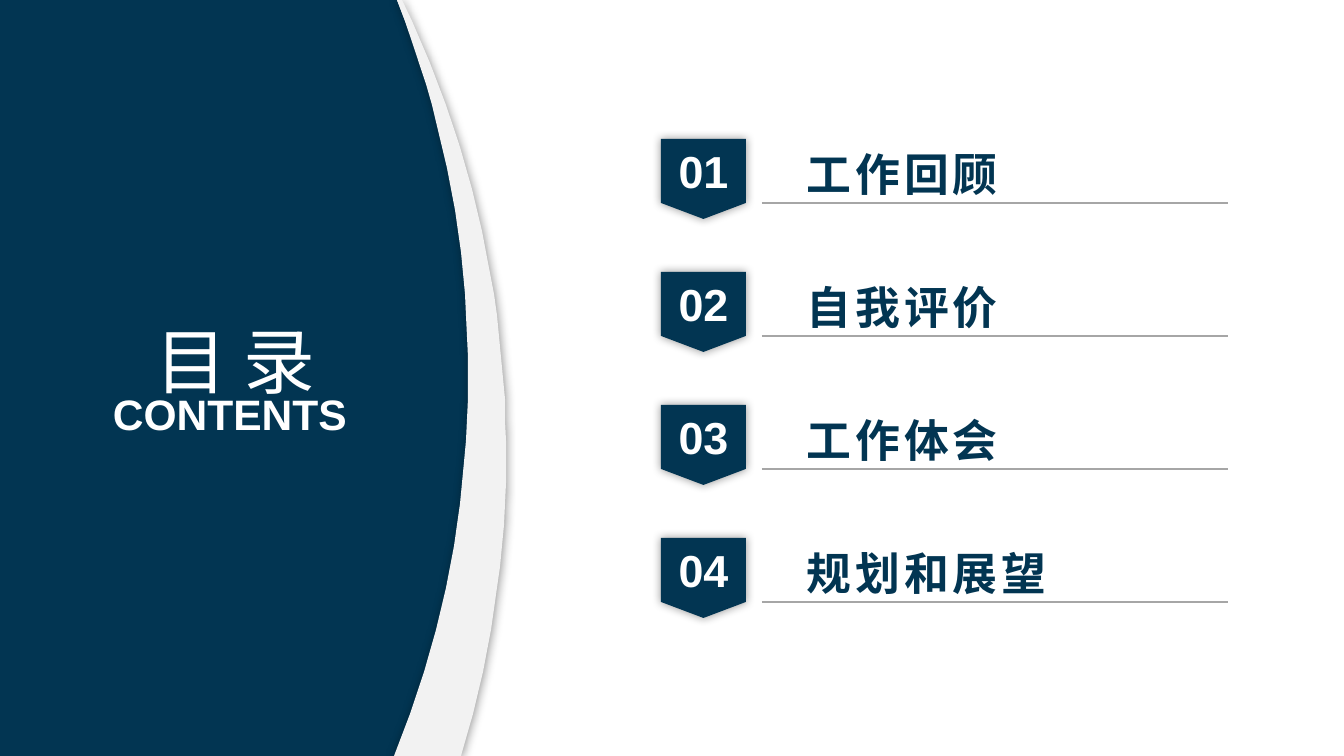
from math import sqrt

from lxml import etree
from pptx import Presentation
from pptx.dml.color import RGBColor
from pptx.enum.shapes import MSO_CONNECTOR as CONN, MSO_SHAPE as SHAPE
from pptx.enum.text import MSO_ANCHOR as ANCHOR, PP_ALIGN as ALIGN
from pptx.oxml import parse_xml
from pptx.oxml.ns import nsdecls, qn
from pptx.util import Pt

PX = 914400 / 134.4
W, H = 1344, 756
COLORS = {"navy": "023552", "band": "F2F2F2", "rule": "A6A6A6", "white": "FFFFFF"}
LATIN, CJK = "Arial", "Noto Sans CJK SC"
TOPICS = ["工作回顾", "自我评价", "工作体会", "规划和展望"]
ROW_TOP, ROW_STEP = 139, 133


def px(*values):
    return [round(v * PX) for v in values]


def rgb(name):
    return RGBColor.from_string(COLORS[name])


def paint(s, color):
    s.shadow.inherit = False
    s.fill.solid()
    s.fill.fore_color.rgb = rgb(color)
    s.line.fill.background()


def add_glow(s):
    """Soft black shadow spreading evenly on all sides."""
    effects = s._element.spPr.find(qn("a:effectLst"))
    effects.append(parse_xml(
        f'<a:outerShdw {nsdecls("a")} blurRad="{Pt(5)}" dist="0" dir="0" algn="ctr" '
        'rotWithShape="0"><a:srgbClr val="000000"><a:alpha val="40000"/></a:srgbClr>'
        '</a:outerShdw>'))


def write(tf, text, font, size, color, align=ALIGN.LEFT, bold=False, spacing=0):
    p = tf.paragraphs[0]
    p.alignment = align
    r = p.add_run()
    r.text = text
    for name, value in {"name": font, "size": Pt(size), "bold": bold}.items():
        setattr(r.font, name, value)
    r.font.color.rgb = rgb(color)
    rPr = r._r.get_or_add_rPr()
    etree.SubElement(rPr, qn("a:ea")).set("typeface", font)
    if spacing:
        rPr.set("spc", str(round(spacing * 100)))


def add_text(slide, box, text, font, size, color, inset=True, wrap=True,
             anchor=ANCHOR.TOP, **style):
    tf = slide.shapes.add_textbox(*px(*box)).text_frame
    tf.word_wrap = wrap
    tf.vertical_anchor = anchor
    if not inset:
        for side in ("left", "top", "right", "bottom"):
            setattr(tf, f"margin_{side}", 0)
    write(tf, text, font, size, color, **style)


def arc(apex_x, apex_y, radius, steps=36):
    """Points from slide top to bottom on a circle bulging right to its apex."""
    ys = [H * i / steps for i in range(steps + 1)]
    return [(apex_x - radius + sqrt(radius ** 2 - (y - apex_y) ** 2), y) for y in ys]


def add_outline(slide, points, color):
    builder = slide.shapes.build_freeform(*points[0], scale=PX)
    builder.add_line_segments(points[1:], close=True)
    s = builder.convert_to_shape()
    paint(s, color)
    return s


def add_badge(slide, top, number):
    s = slide.shapes.add_shape(SHAPE.FLOWCHART_OFFPAGE_CONNECTOR, *px(661, top, 85, 80))
    paint(s, "navy")
    add_glow(s)
    write(s.text_frame, f"{number:02d}", LATIN, 24, "white", align=ALIGN.CENTER, bold=True)


def add_rule(slide, y):
    s = slide.shapes.add_connector(CONN.STRAIGHT, *px(762, y, 1228, y))
    s.line.color.rgb = rgb("rule")
    s.line.width = Pt(1)
    etree.SubElement(s._element.spPr, qn("a:effectLst"))


def add_topic(slide, index, topic):
    top = ROW_TOP + index * ROW_STEP
    add_badge(slide, top, index + 1)
    add_rule(slide, top + 64)
    add_text(slide, (793, top + 1, 49 * len(topic) + 34, 67), topic, CJK, 24, "navy",
             wrap=False, bold=True, spacing=2.2)


def main():
    prs = Presentation()
    prs.slide_width, prs.slide_height = px(W, H)
    slide = prs.slides.add_slide(prs.slide_layouts[6])

    add_outline(slide, [(0, 0), *arc(470, 375, 1000), (0, H)], "navy")
    add_text(slide, (137, 316, 196, 87), "目 录", CJK, 38.4, "white", inset=False,
             anchor=ANCHOR.MIDDLE, align=ALIGN.CENTER)
    add_text(slide, (113, 388, 243, 51), "CONTENTS", LATIN, 22.8, "white", inset=False,
             align=ALIGN.JUSTIFY, bold=True)

    for index, topic in enumerate(TOPICS):
        add_topic(slide, index, topic)

    band = add_outline(slide, arc(506, 454, 1042) + arc(468, 375, 1020)[::-1], "band")
    add_glow(band)
    prs.save("out.pptx")


if __name__ == "__main__":
    main()
